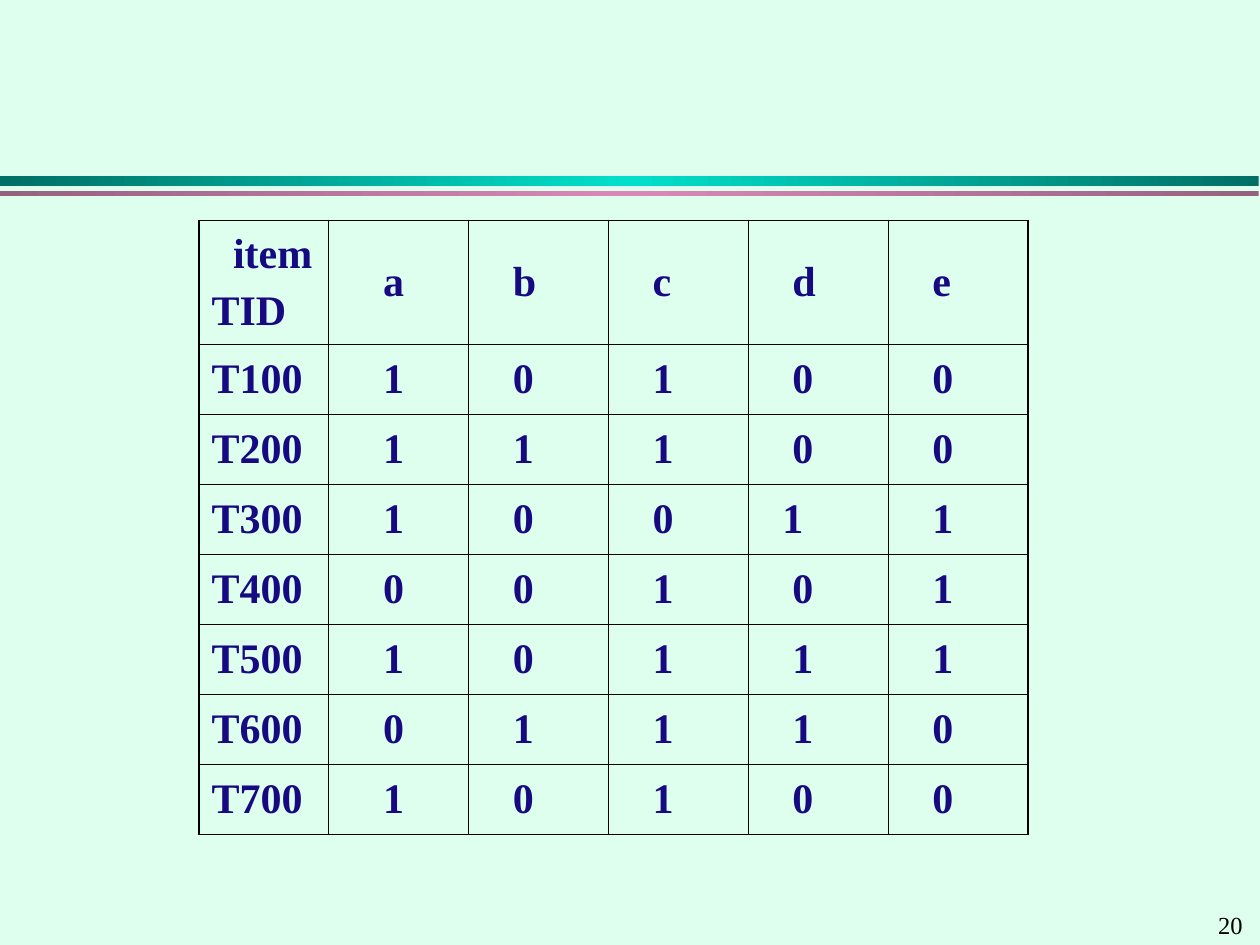
from copy import deepcopy
from lxml.etree import SubElement
from pptx import Presentation
from pptx.dml.color import RGBColor
from pptx.enum.shapes import MSO_SHAPE
from pptx.enum.text import MSO_ANCHOR
from pptx.oxml.ns import qn
from pptx.util import Inches, Pt

FONT = "Times New Roman"
BACK, INK, BLACK = "DEFEEE", "170981", "000000"
BARS = [(1.4, 0.08, "006F65", "00DFCA"), (1.52, 0.04, "976080", "D989B8")]
ROWS = [
    ("item\nTID", "a", "b", "c", "d", "e"),
    ("T100", "1", "0", "1", "0", "0"),
    ("T200", "1", "1", "1", "0", "0"),
    ("T300", "1", "0", "0", "1", "1"),
    ("T400", "0", "0", "1", "0", "1"),
    ("T500", "1", "0", "1", "1", "1"),
    ("T600", "0", "1", "1", "1", "0"),
    ("T700", "1", "0", "1", "0", "0"),
]
LEFT, TOP, WIDE, HIGH = 1.58, 1.75, 6.58, 4.87
FIRST, HEAD = 1.03, 0.98
INDENTS = [0, 0.33, 0.25, 0.25, 0.25, 0.25]
SHIFTS = {("item", 0): 0.17, ("T300", 4): 0.17}
THIN, THICK = 0.45, 1.08


def paint(target, color):
    """Set a solid colour on a fill or font colour."""
    target.rgb = RGBColor.from_string(color)


def style(para, size, color, bold=False):
    """Format the runs of a paragraph."""
    for run in para.runs:
        run.font.name, run.font.size, run.font.bold = FONT, Pt(size), bold
        paint(run.font.color, color)


def add_bar(slide, top, high, edge, core):
    """Draw a divider that fades from the edges to the core colour."""
    bar = slide.shapes.add_shape(
        MSO_SHAPE.RECTANGLE, 0, Inches(top), Inches(9.99), Inches(high))
    bar.shadow.inherit = False
    bar.line.fill.background()
    bar.fill.gradient()
    bar.fill.gradient_angle = 0
    stops = bar._element.spPr.find(qn("a:gradFill")).find(qn("a:gsLst"))
    stops.append(deepcopy(stops[0]))
    for stop, place, color in zip(
            bar.fill.gradient_stops, (0, 0.5, 1), (edge, core, edge)):
        stop.position = place
        paint(stop.color, color)


def add_edge(cell, side, width):
    """Draw one border of a cell."""
    line = SubElement(cell._tc.get_or_add_tcPr(), qn("a:ln" + side), w=str(Pt(width)))
    SubElement(SubElement(line, qn("a:solidFill")), qn("a:srgbClr"), val=BLACK)


def fill_cell(cell, text, row, col):
    """Write and format one cell of the item table."""
    outer = {"L": col == 0, "R": col == len(INDENTS) - 1,
             "T": row == 0, "B": row == len(ROWS) - 1}
    for side, edge in outer.items():
        add_edge(cell, side, THICK if edge else THIN)
    cell.fill.background()
    cell.vertical_anchor = MSO_ANCHOR.MIDDLE
    cell.text_frame.text = text
    for num, para in enumerate(cell.text_frame.paragraphs):
        key = (para.text if col == 0 else ROWS[row][0], col)
        indent = SHIFTS.get(key, INDENTS[col])
        para._p.get_or_add_pPr().set("marL", str(Inches(indent)))
        para.space_before = Pt(6 if num else 0)
        style(para, 24, INK, True)


def add_grid(slide):
    """Add the table of transactions and items."""
    count = len(INDENTS)
    table = slide.shapes.add_table(
        len(ROWS), count, Inches(LEFT), Inches(TOP), Inches(WIDE), Inches(HIGH)).table
    table.first_row = table.horz_banding = False
    for num, col in enumerate(table.columns):
        col.width = Inches((WIDE - FIRST) / (count - 1) if num else FIRST)
    for num, row in enumerate(table.rows):
        row.height = Inches((HIGH - HEAD) / (len(ROWS) - 1) if num else HEAD)
        for col, text in enumerate(ROWS[num]):
            fill_cell(table.cell(num, col), text, num, col)


def main():
    """Build and save the slide."""
    deck = Presentation()
    deck.slide_width, deck.slide_height = Inches(10), Inches(7.5)
    slide = deck.slides.add_slide(deck.slide_layouts[6])
    back = slide.background.fill
    back.solid()
    paint(back.fore_color, BACK)
    for bar in BARS:
        add_bar(slide, *bar)
    page = slide.shapes.add_textbox(
        Inches(9.57), Inches(7.17), Inches(0.43), Inches(0.34))
    page.text_frame.text = "20"
    style(page.text_frame.paragraphs[0], 14, BLACK)
    add_grid(slide)
    deck.save("out.pptx")


if __name__ == "__main__":
    main()
